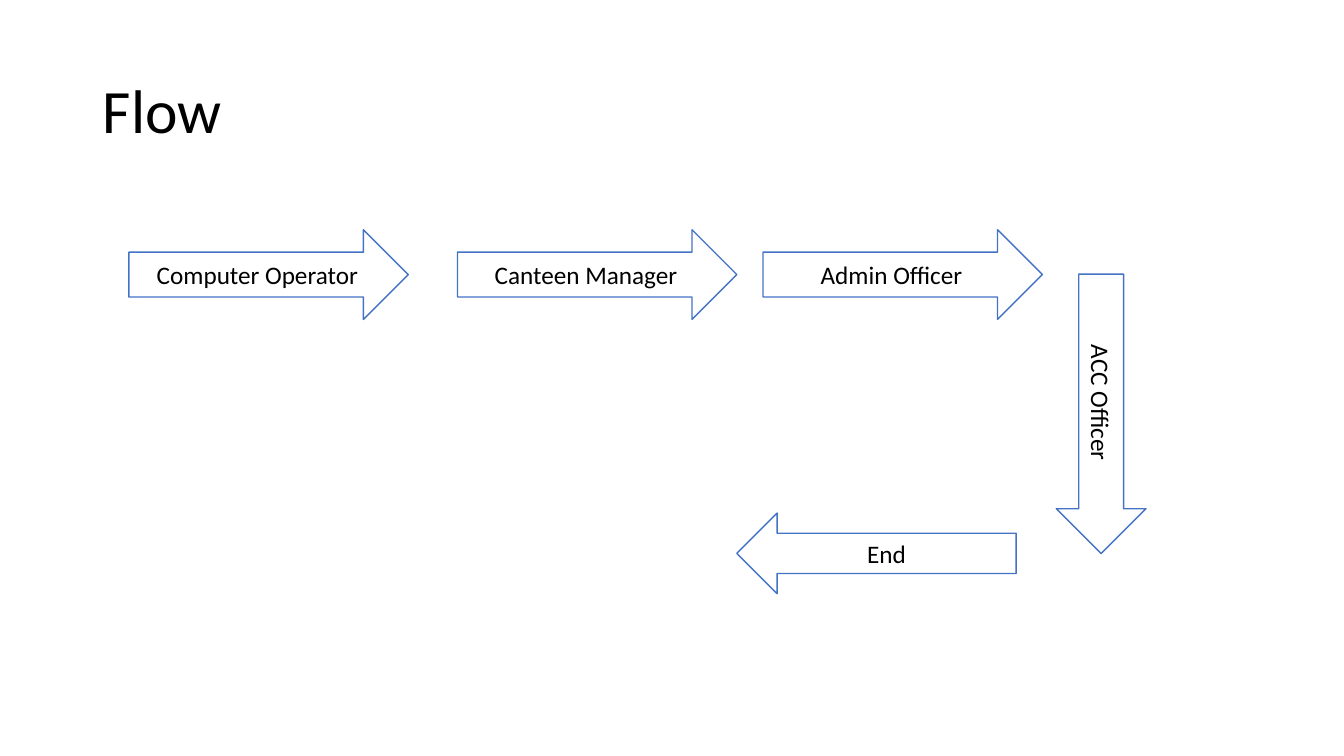
from pptx import Presentation
from pptx.dml.color import RGBColor
from pptx.enum.shapes import MSO_SHAPE as Preset
from pptx.enum.text import MSO_ANCHOR as Anchor, PP_ALIGN as Align
from pptx.util import Cm, Pt

BLACK = RGBColor(0x00, 0x00, 0x00)
WHITE = RGBColor(0xFF, 0xFF, 0xFF)
BLUE = RGBColor(0x44, 0x72, 0xC4)

ARROW_WIDTH = 7.04
ARROW_HEIGHT = 2.26
ROW_TOP = 5.79
ROW_STEPS = [
    ("Computer Operator", 3.25),
    ("Canteen Manager", 11.53),
    ("Admin Officer", 19.23),
]


def apply_format(target, values):
    """Set each named attribute of the target."""
    for name, value in values.items():
        setattr(target, name, value)


def write_text(shape, text, size, paragraph_format):
    """Write one vertically centred paragraph into the shape."""
    frame = shape.text_frame
    apply_format(frame, {"word_wrap": True, "vertical_anchor": Anchor.MIDDLE})
    paragraph = frame.paragraphs[0]
    apply_format(paragraph, paragraph_format)
    run = paragraph.add_run()
    run.text = text
    apply_format(run.font, {"name": "Calibri", "size": Pt(size)})
    run.font.color.rgb = BLACK


def add_title(slide, text):
    """Add the slide heading."""
    box = slide.shapes.add_textbox(Cm(2.34), Cm(1.02), Cm(29.21), Cm(3.68))
    write_text(box, text, 44, {"line_spacing": 0.9})


def add_arrow(slide, text, left, top, height=ARROW_HEIGHT,
              preset=Preset.RIGHT_ARROW, rotation=0):
    """Add an outlined block arrow with a centred label."""
    shape = slide.shapes.add_shape(
        preset, Cm(left), Cm(top), Cm(ARROW_WIDTH), Cm(height))
    shape.rotation = rotation
    shape.shadow.inherit = False
    shape.fill.solid()
    shape.fill.fore_color.rgb = WHITE
    shape.line.color.rgb = BLUE
    shape.line.width = Pt(1)
    write_text(shape, text, 18, {"alignment": Align.CENTER})


def main():
    """Build the flow slide and save it."""
    presentation = Presentation()
    apply_format(presentation,
                 {"slide_width": Cm(33.87), "slide_height": Cm(19.05)})
    slide = presentation.slides.add_slide(presentation.slide_layouts[6])
    add_title(slide, "Flow")
    for text, left in ROW_STEPS:
        add_arrow(slide, text, left, ROW_TOP)
    add_arrow(slide, "ACC Officer", 24.23, 9.3, rotation=90)
    add_arrow(slide, "End", 18.57, 12.93, height=2.03,
              preset=Preset.LEFT_ARROW)
    presentation.save("out.pptx")


if __name__ == "__main__":
    main()
